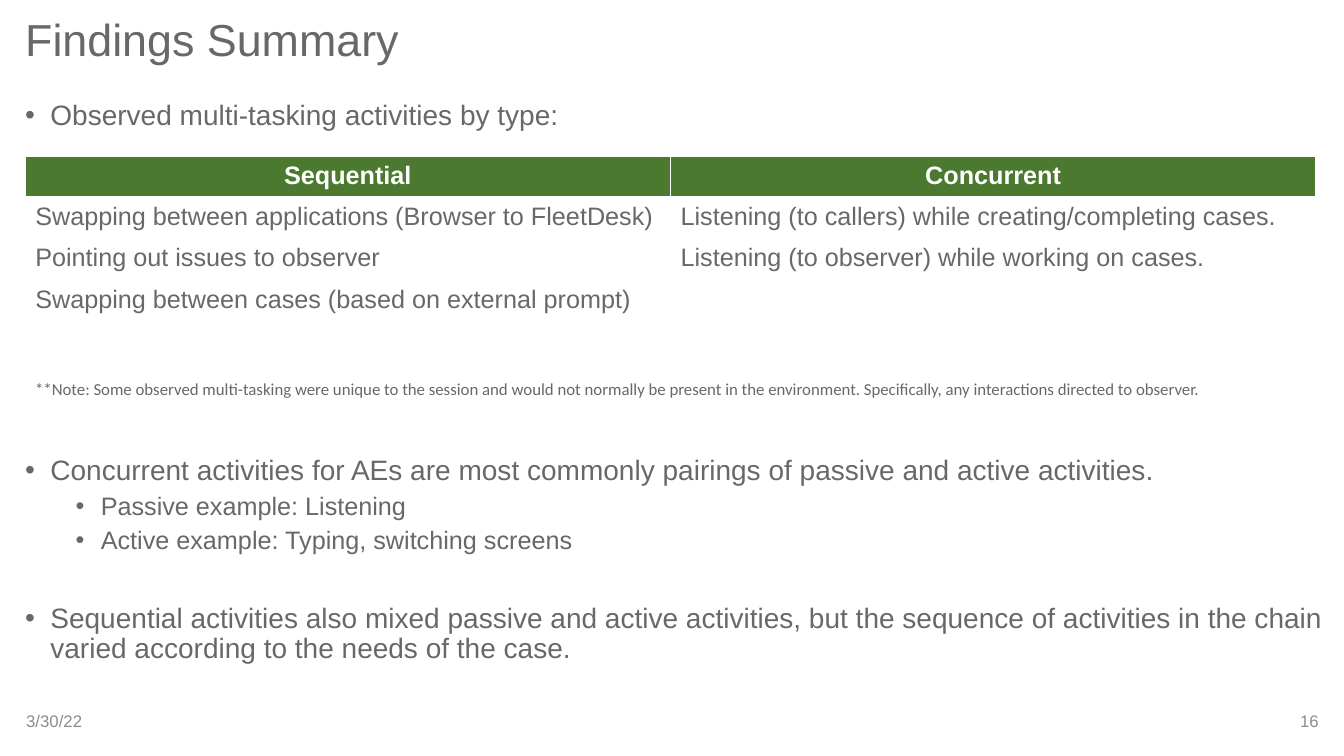
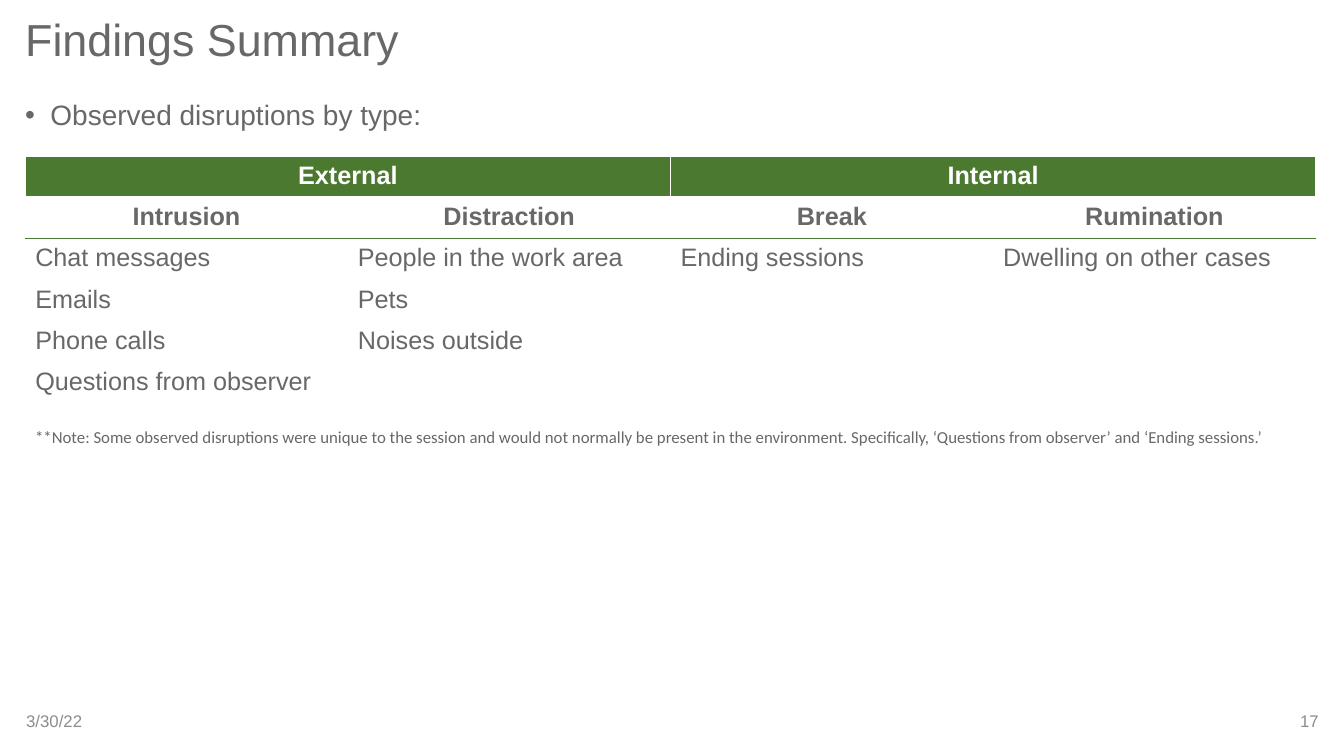
from dataclasses import dataclass

from lxml import etree
from pptx import Presentation
from pptx.dml.color import RGBColor
from pptx.enum.text import MSO_ANCHOR, PP_ALIGN
from pptx.oxml.ns import qn
from pptx.slide import Slide
from pptx.table import _Cell
from pptx.text.text import _Paragraph
from pptx.util import Inches, Pt

LEFT, MID, RIGHT = PP_ALIGN.LEFT, PP_ALIGN.CENTER, PP_ALIGN.RIGHT
TOP, CENTER = MSO_ANCHOR.TOP, MSO_ANCHOR.MIDDLE


@dataclass(frozen=True)
class Theme:
    text: str = "696868"
    faint: str = "8C8C8C"
    green: str = "4A792F"
    white: str = "FFFFFF"
    font: str = "Arial"
    note: str = "Calibri"
    title: int = 32
    body: int = 20
    cell: int = 18
    small: int = 12


@dataclass(frozen=True)
class Style:
    size: int
    color: str
    font: str
    bold: bool = False
    align: PP_ALIGN = LEFT


@dataclass(frozen=True)
class Box:
    left: float
    top: float
    width: float
    height: float
    start: float = 0.1
    end: float = 0.1
    anchor: MSO_ANCHOR = TOP


@dataclass(frozen=True)
class Point:
    text: str
    level: int = 0
    before: int = 0


@dataclass(frozen=True)
class Grid:
    heads: list[str]
    rows: list[list[str]]
    subs: bool = False


@dataclass(frozen=True)
class Page:
    number: int
    points: list[Point]
    grid: Grid
    note: str
    base: float


THEME = Theme()
TITLE = Style(THEME.title, THEME.text, THEME.font)
BODY = Style(THEME.body, THEME.text, THEME.font)
SUB = Style(THEME.cell, THEME.text, THEME.font)
HEAD = Style(THEME.cell, THEME.white, THEME.font, True, MID)
GROUP = Style(THEME.cell, THEME.text, THEME.font, True, MID)
NOTE = Style(THEME.small, THEME.text, THEME.note)
DATE = Style(THEME.small, THEME.faint, THEME.font)
PAGE = Style(THEME.small, THEME.faint, THEME.font, align=RIGHT)

WIDTH, HEIGHT = 13.33, 7.5
EDGE, SPAN, ROW = 0.25, 12.8, 0.41

PAGES = [
    Page(
        16,
        [
            Point("Observed multi-tasking activities by type:"),
            Point("Concurrent activities for AEs are most commonly pairings of "
                  "passive and active activities.", before=232),
            Point("Passive example: Listening", 1, 5),
            Point("Active example: Typing, switching screens", 1, 5),
            Point("Sequential activities also mixed passive and active "
                  "activities, but the sequence of activities in the chain "
                  "varied according to the needs of the case.", before=35),
        ],
        Grid(
            ["Sequential", "Concurrent"],
            [
                ["Swapping between applications (Browser to FleetDesk)",
                 "Listening (to callers) while creating/completing cases."],
                ["Pointing out issues to observer",
                 "Listening (to observer) while working on cases."],
                ["Swapping between cases (based on external prompt)", ""],
                ["", ""],
            ],
        ),
        "**Note: Some observed multi-tasking were unique to the session and "
        "would not normally be present in the environment. Specifically, any "
        "interactions directed to observer.",
        3.71,
    ),
    Page(
        17,
        [Point("Observed disruptions by type:")],
        Grid(
            ["External", "Internal"],
            [
                ["Intrusion", "Distraction", "Break", "Rumination"],
                ["Chat messages", "People in the work area",
                 "Ending sessions", "Dwelling on other cases"],
                ["Emails", "Pets", "", ""],
                ["Phone calls", "Noises outside", "", ""],
                ["Questions from observer", "", "", ""],
            ],
            True,
        ),
        "**Note: Some observed disruptions were unique to the session and "
        "would not normally be present in the environment. Specifically, "
        "‘Questions from observer’ and ‘Ending sessions.’",
        4.18,
    ),
]


def format_text(para: _Paragraph, style: Style) -> None:
    para.alignment = style.align
    for run in para.runs:
        font = run.font
        font.name = style.font
        font.size = Pt(style.size)
        font.bold = style.bold
        font.color.rgb = RGBColor.from_string(style.color)


def add_text(slide: Slide, box: Box, text: str, style: Style) -> list[_Paragraph]:
    shape = slide.shapes.add_textbox(
        Inches(box.left), Inches(box.top), Inches(box.width), Inches(box.height))
    frame = shape.text_frame
    frame.word_wrap = True
    frame.vertical_anchor = box.anchor
    frame.margin_left = Inches(box.start)
    frame.margin_right = Inches(box.end)
    frame.text = text
    for para in frame.paragraphs:
        format_text(para, style)
    return list(frame.paragraphs)


def add_points(slide: Slide, points: list[Point]) -> None:
    box = Box(0, 0.96, WIDTH, 5.8, EDGE)
    text = "\n".join(point.text for point in points)
    for para, point in zip(add_text(slide, box, text, BODY), points):
        props = para._p.get_or_add_pPr()
        props.set("marL", str(Inches(0.25 + 0.5 * point.level)))
        props.set("indent", str(Inches(-0.25)))
        etree.SubElement(props, qn("a:buFont"), typeface=THEME.font)
        etree.SubElement(props, qn("a:buChar"), char="•")
        para.level = point.level
        para.line_spacing = 0.9
        para.space_before = Pt(point.before)
        format_text(para, SUB if point.level else BODY)


def add_line(cell: _Cell, side: str, color: str, width: int) -> None:
    props = cell._tc.get_or_add_tcPr()
    line = etree.SubElement(props, qn(f"a:ln{side}"), w=str(Pt(width)))
    fill = etree.SubElement(line, qn("a:solidFill"))
    etree.SubElement(fill, qn("a:srgbClr"), val=color)


def fill_cell(cell: _Cell, text: str, style: Style, row: int, subs: bool) -> None:
    over = THEME.green if subs and row == 2 else THEME.white
    under = THEME.green if subs and row == 1 else THEME.white
    add_line(cell, "L", THEME.white, 1)
    add_line(cell, "R", THEME.white, 1)
    add_line(cell, "T", over, 3 if row == 1 else 1)
    add_line(cell, "B", under, 1 if row else 3)
    cell.fill.solid()
    cell.fill.fore_color.rgb = RGBColor.from_string(
        THEME.white if row else THEME.green)
    cell.text_frame.text = text
    format_text(cell.text_frame.paragraphs[0], style)


def add_grid(slide: Slide, grid: Grid) -> None:
    cols = len(grid.rows[0])
    step = cols // len(grid.heads)
    heads = ["" if col % step else grid.heads[col // step] for col in range(cols)]
    rows = [heads, *grid.rows]
    table = slide.shapes.add_table(
        len(rows), cols, Inches(EDGE), Inches(1.55),
        Inches(SPAN), Inches(ROW * len(rows))).table
    table.horz_banding = False
    for col in table.columns:
        col.width = Inches(SPAN / cols)
    for r, row in enumerate(rows):
        table.rows[r].height = Inches(ROW)
        style = HEAD if r == 0 else GROUP if grid.subs and r == 1 else SUB
        for c, text in enumerate(row):
            fill_cell(table.cell(r, c), text, style, r, grid.subs)
    if step > 1:
        for col in range(0, cols, step):
            table.cell(0, col).merge(table.cell(0, col + step - 1))


def add_frame(slide: Slide, number: int) -> None:
    box = Box(0, 0.05, WIDTH, 0.74, EDGE, anchor=CENTER)
    add_text(slide, box, "Findings Summary", TITLE)[0].line_spacing = 0.9
    add_text(slide, Box(0.01, 6.95, 3, 0.4, EDGE, anchor=CENTER), "3/30/22", DATE)
    add_text(slide, Box(10.33, 6.95, 3, 0.4, end=EDGE, anchor=CENTER),
             str(number), PAGE)


def main() -> None:
    deck = Presentation()
    deck.slide_width, deck.slide_height = Inches(WIDTH), Inches(HEIGHT)
    for page in PAGES:
        slide = deck.slides.add_slide(deck.slide_layouts[6])
        add_frame(slide, page.number)
        add_points(slide, page.points)
        add_grid(slide, page.grid)
        add_text(slide, Box(EDGE, page.base, SPAN, 0.3), page.note, NOTE)
    deck.save("out.pptx")


if __name__ == "__main__":
    main()
